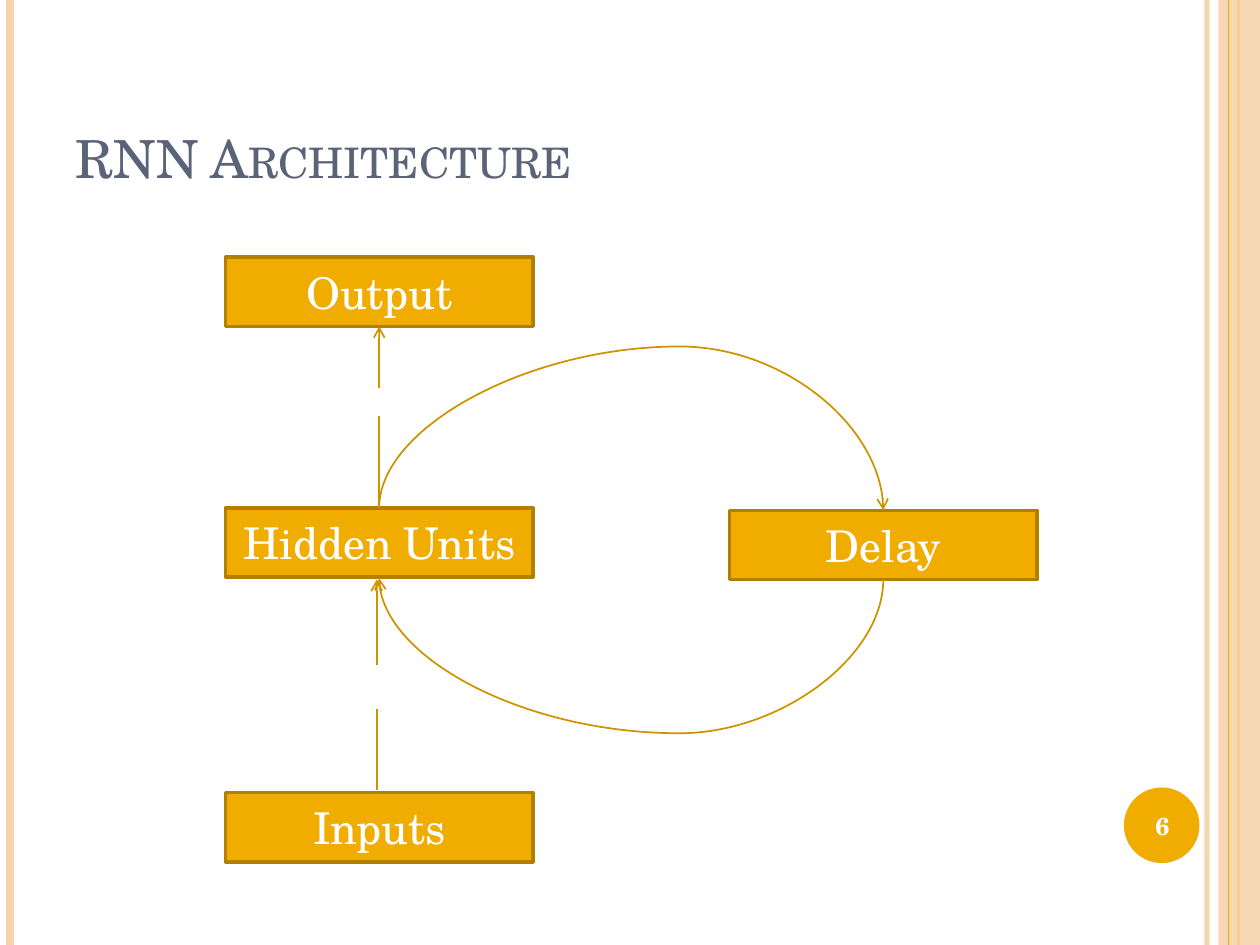
from lxml.etree import SubElement
from pptx import Presentation
from pptx.dml.color import RGBColor
from pptx.enum.shapes import MSO_CONNECTOR, MSO_SHAPE
from pptx.enum.text import MSO_ANCHOR, PP_ALIGN
from pptx.oxml.ns import qn
from pptx.util import Inches, Pt

FONT = "TeX Gyre Schola"
GOLD = "F0AD00"
DARK_GOLD = "B28000"
ARROW_GOLD = "CE9400"
PEACH = "F6D3AB"
SLATE = "5A6378"
WHITE = "FFFFFF"

BOX_WIDTH, BOX_HEIGHT = 2.44, 0.55
LEFT_COLUMN, RIGHT_COLUMN = 1.79, 5.79
LEFT_CENTER = LEFT_COLUMN + BOX_WIDTH / 2
RIGHT_CENTER = RIGHT_COLUMN + BOX_WIDTH / 2
LOOP_MIDDLE = 5.39


def color(hex_string):
    return RGBColor.from_string(hex_string)


def set_opacity(color_parent, percent):
    color_element = next(color_parent.iter(qn("a:srgbClr")))
    SubElement(color_element, qn("a:alpha"), val=str(percent * 1000))


def format_text(text_frame, size, hex_string, align, anchor, bold=False):
    text_frame.word_wrap = True
    text_frame.vertical_anchor = anchor
    paragraph = text_frame.paragraphs[0]
    paragraph.alignment = align
    font = paragraph.runs[0].font
    font.name, font.size, font.bold = FONT, Pt(size), bold
    font.color.rgb = color(hex_string)


def add_filled_shape(slide, kind, left, top, width, height, fill):
    shape = slide.shapes.add_shape(
        kind, Inches(left), Inches(top), Inches(width), Inches(height))
    shape.shadow.inherit = False
    shape.fill.solid()
    shape.fill.fore_color.rgb = color(fill)
    shape.line.fill.background()
    return shape


def add_box(slide, label, left, top):
    box = add_filled_shape(slide, MSO_SHAPE.RECTANGLE, left, top,
                           BOX_WIDTH, BOX_HEIGHT, GOLD)
    box.line.color.rgb = color(DARK_GOLD)
    box.line.width = Pt(2)
    box.text_frame.text = label
    format_text(box.text_frame, 25, WHITE, PP_ALIGN.CENTER, MSO_ANCHOR.MIDDLE)
    return box


def add_line(slide, start, end, hex_string=ARROW_GOLD, width=1, arrow=False,
             kind=MSO_CONNECTOR.STRAIGHT):
    points = [Inches(value) for value in (*start, *end)]
    line = slide.shapes.add_connector(kind, *points)
    line.line.color.rgb = color(hex_string)
    line.line.width = Pt(width)
    if arrow:
        SubElement(line.line._get_or_add_ln(), qn("a:tailEnd"), type="arrow")
    SubElement(line._element.spPr, qn("a:effectLst"))
    return line


def add_quarter_curve(slide, start, end, arrow=False):
    """Draw a curve that leaves start horizontally and reaches end vertically."""
    curve = add_line(slide, start, end, arrow=arrow, kind=MSO_CONNECTOR.CURVE)
    curve._element.spPr.find(qn("a:prstGeom")).set("prst", "curvedConnector2")


def add_side_bands(slide):
    pale_line = add_line(slide, (9.58, 0), (9.58, 7.5), PEACH, 3)
    set_opacity(pale_line._element.spPr, 93)
    add_line(slide, (0.08, 0), (0.08, 7.5), PEACH, 4.5)
    add_line(slide, (9.83, 0), (9.83, 7.5), GOLD, 1.5)
    band = add_filled_shape(slide, MSO_SHAPE.RECTANGLE, 9.67, 0, 0.33, 7.5, PEACH)
    set_opacity(band._element.spPr, 87)
    add_line(slide, (9.75, 0), (9.75, 7.5), GOLD, 0.75)


def add_title(slide, text):
    title = slide.shapes.title
    title.left, title.top = Inches(0.5), Inches(0.3)
    title.width, title.height = Inches(8.17), Inches(1.25)
    title.text_frame.text = text
    format_text(title.text_frame, 30, SLATE, PP_ALIGN.LEFT, MSO_ANCHOR.BOTTOM)
    run = title.text_frame.paragraphs[0].runs[0]
    run.font._element.set("cap", "small")


def add_page_number(slide, number):
    add_filled_shape(slide, MSO_SHAPE.OVAL, 8.92, 6.25, 0.6, 0.6, GOLD)
    text_box = slide.shapes.add_textbox(
        Inches(8.89), Inches(6.27), Inches(0.67), Inches(0.57))
    text_box.text_frame.text = number
    format_text(text_box.text_frame, 14, WHITE, PP_ALIGN.CENTER,
                MSO_ANCHOR.MIDDLE, bold=True)


def add_network(slide):
    output = add_box(slide, "Output", LEFT_COLUMN, 2.04)
    add_box(slide, "Delay", RIGHT_COLUMN, 4.05)
    hidden = add_box(slide, "Hidden Units", LEFT_COLUMN, 4.03)
    add_box(slide, "Inputs", LEFT_COLUMN, 6.29)

    to_output = add_line(slide, (LEFT_CENTER, 3.08), (LEFT_CENTER, 2.59), arrow=True)
    to_output.end_connect(output, 2)
    from_hidden = add_line(slide, (LEFT_CENTER, 4.03), (LEFT_CENTER, 3.3))
    from_hidden.begin_connect(hidden, 0)
    add_line(slide, (2.99, 5.28), (2.99, 4.6), arrow=True)
    add_line(slide, (2.99, 6.27), (2.99, 5.63))

    loop_top, loop_bottom = (LOOP_MIDDLE, 2.75), (LOOP_MIDDLE, 5.82)
    add_quarter_curve(slide, loop_top, (LEFT_CENTER, 4.03))
    add_quarter_curve(slide, loop_top, (RIGHT_CENTER, 4.05), arrow=True)
    add_quarter_curve(slide, loop_bottom, (RIGHT_CENTER, 4.6))
    add_quarter_curve(slide, loop_bottom, (LEFT_CENTER, 4.59), arrow=True)


def main():
    presentation = Presentation()
    presentation.slide_width, presentation.slide_height = Inches(10), Inches(7.5)
    slide = presentation.slides.add_slide(presentation.slide_layouts[5])
    add_side_bands(slide)
    add_title(slide, "RNN Architecture")
    add_network(slide)
    add_page_number(slide, "6")
    presentation.save("out.pptx")


if __name__ == "__main__":
    main()
